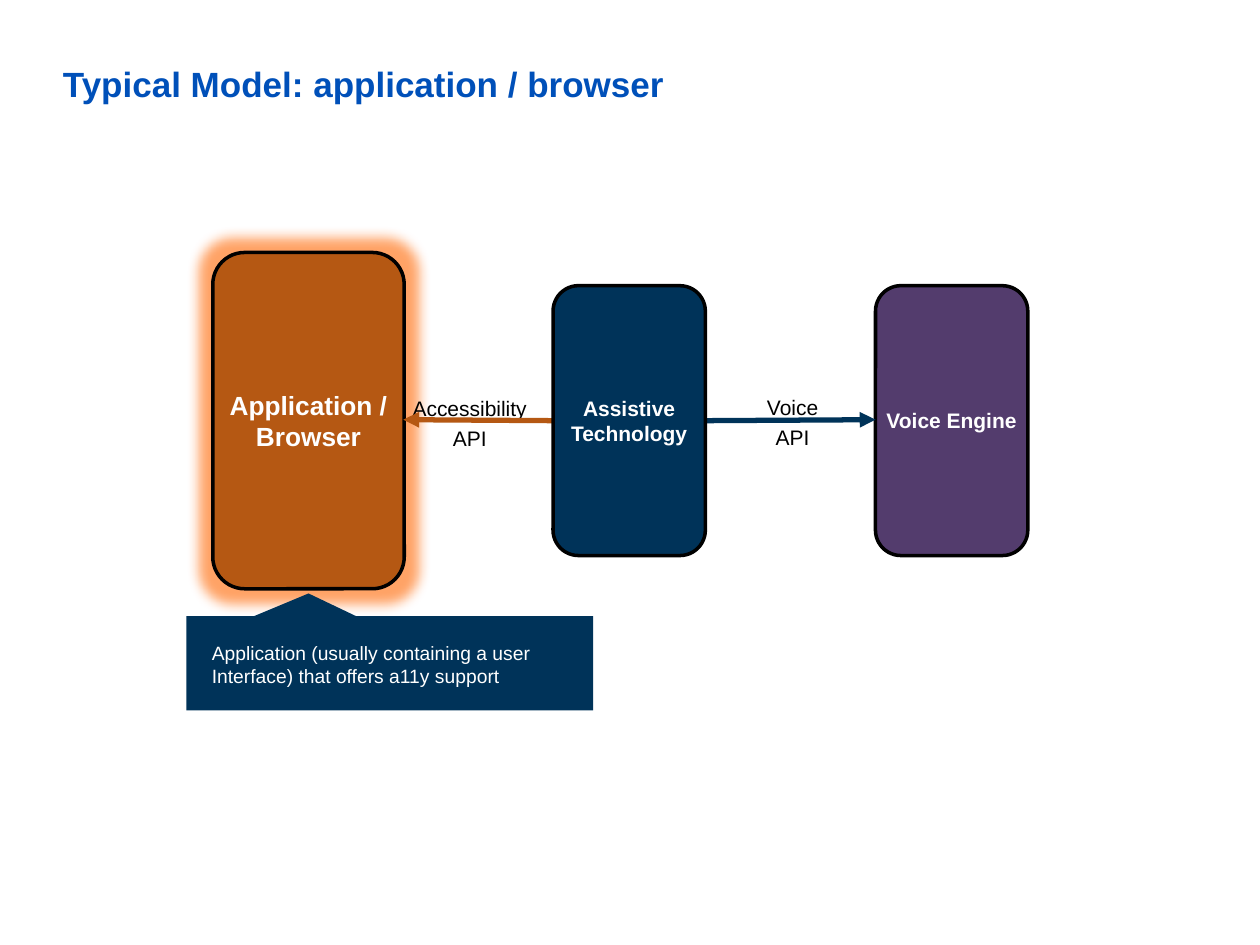
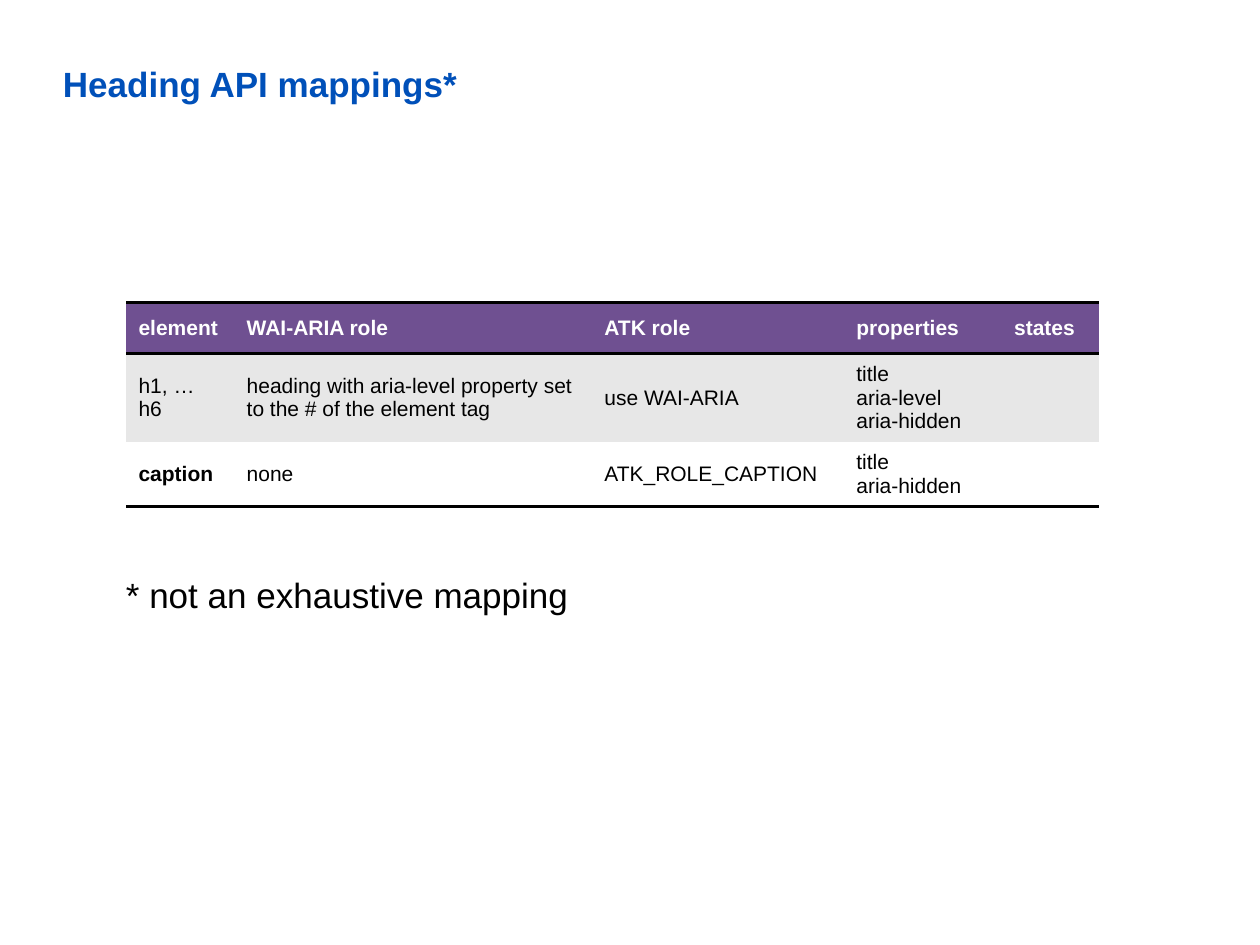
from dataclasses import dataclass

from lxml.etree import SubElement as Sub
from pptx import Presentation
from pptx.dml.color import RGBColor as Rgb
from pptx.enum.shapes import MSO_CONNECTOR as Link, MSO_SHAPE as Shape
from pptx.enum.text import MSO_ANCHOR as Anchor, PP_ALIGN as Align
from pptx.oxml.ns import qn
from pptx.util import Cm, Pt


@dataclass(frozen=True)
class Theme:
    font: str = "Arial"
    title: str = "0050B9"
    black: str = "000000"
    white: str = "FFFFFF"
    orange: str = "B55813"
    glow: str = "FF6600"
    navy: str = "003359"
    plum: str = "533C6D"
    head: str = "6F5091"
    grey: str = "E7E7E7"
    big: int = 20
    mid: int = 15
    base: int = 12
    small: int = 11
    edge: int = 2
    arrow: int = 3


THEME = Theme()


@dataclass(frozen=True)
class Rect:
    left: float
    top: float
    width: float
    height: float

    def sides(self) -> list:
        return [Cm(n) for n in (self.left, self.top, self.width, self.height)]


@dataclass(frozen=True)
class Style:
    size: int = THEME.base
    color: str = THEME.black
    bold: bool = False
    align: Align = Align.LEFT
    space: float = 1.0


@dataclass(frozen=True)
class Node:
    text: str
    left: float
    width: float
    height: float
    fill: str
    size: int = THEME.base

    def rect(self) -> Rect:
        return Rect(self.left, MID - self.height / 2, self.width, self.height)


@dataclass(frozen=True)
class Arrow:
    start: float
    end: float
    color: str
    lines: tuple
    rect: Rect


MID = 8.48
TITLE = Style(THEME.big, THEME.title, True)
LABEL = Style(align=Align.CENTER, space=1.2)
NOTE = Style(THEME.small, THEME.white)

APP = Node("Application / Browser", 4.29, 3.86, 6.78, THEME.orange, THEME.mid)
VOICE = Node("Voice Engine", 17.65, 3.07, 5.44, THEME.plum)
ASSIST = Node("Assistive Technology", 11.15, 3.07, 5.44, THEME.navy)
ARROWS = (
    Arrow(11.15, 8.13, THEME.orange, ("Accessibility API",), Rect(7.92, 7.75, 3.1, 1.42)),
    Arrow(14.25, 17.65, THEME.navy, ("Voice", "API"), Rect(14.43, 7.72, 3.1, 1.42)),
)

COLS = (2.18, 7.21, 5.08, 3.18, 1.96)
ROWS = (1.03, 1.76, 1.3)
FILLS = (THEME.head, THEME.grey, THEME.white)
CELLS = (
    ("element", "WAI-ARIA role", "ATK role", "properties", "states"),
    ("h1, … h6", "heading with aria-level property set to the # of the element tag",
     "use WAI-ARIA", "title\naria-level\naria-hidden", ""),
    ("caption", "none", "ATK_ROLE_CAPTION", "title\naria-hidden", ""),
)


def write(frame, lines, style: Style) -> None:
    for i, line in enumerate(lines):
        para = frame.paragraphs[0] if i == 0 else frame.add_paragraph()
        para.alignment = style.align
        para.line_spacing = style.space
        run = para.add_run()
        run.text = line
        font = run.font
        font.name, font.size, font.bold = THEME.font, Pt(style.size), style.bold
        font.color.rgb = Rgb.from_string(style.color)


def inset(frame, side: float, end: float) -> None:
    frame.margin_left = frame.margin_right = Cm(side)
    frame.margin_top = frame.margin_bottom = Cm(end)


def add_text(slide, rect: Rect, lines, style: Style):
    frame = slide.shapes.add_textbox(*rect.sides()).text_frame
    frame.word_wrap = True
    write(frame, lines, style)
    return frame


def add_shape(slide, kind, rect: Rect, fill: str):
    shape = slide.shapes.add_shape(kind, *rect.sides())
    shape.shadow.inherit = False
    shape.fill.solid()
    shape.fill.fore_color.rgb = Rgb.from_string(fill)
    shape.text_frame.word_wrap = True
    return shape


def add_node(slide, node: Node):
    shape = add_shape(slide, Shape.ROUNDED_RECTANGLE, node.rect(), node.fill)
    shape.line.color.rgb = Rgb.from_string(THEME.black)
    shape.line.width = Pt(THEME.edge)
    frame = shape.text_frame
    frame.vertical_anchor = Anchor.MIDDLE
    inset(frame, 0, 0.13)
    write(frame, [node.text], Style(node.size, THEME.white, True, Align.CENTER))
    return shape


def add_glow(shape) -> None:
    effects = shape._element.spPr.find(qn("a:effectLst"))
    glow = Sub(effects, qn("a:glow"), rad=str(Cm(0.5)))
    color = Sub(glow, qn("a:srgbClr"), val=THEME.glow)
    Sub(color, qn("a:alpha"), val="60000")


def add_arrow(slide, arrow: Arrow) -> None:
    add_text(slide, arrow.rect, arrow.lines, LABEL)
    link = slide.shapes.add_connector(
        Link.STRAIGHT, Cm(arrow.start), Cm(MID), Cm(arrow.end), Cm(MID - 0.02))
    link.line.color.rgb = Rgb.from_string(arrow.color)
    link.line.width = Pt(THEME.arrow)
    Sub(link.line._get_or_add_ln(), qn("a:tailEnd"), type="triangle")
    Sub(link._element.spPr, qn("a:effectLst"))


def add_edges(cell, shown: str) -> None:
    props = cell._tc.get_or_add_tcPr()
    for side in "LRTB":
        line = Sub(props, qn(f"a:ln{side}"), w=str(Pt(THEME.edge)))
        if side in shown:
            Sub(Sub(line, qn("a:solidFill")), qn("a:srgbClr"), val=THEME.black)
        else:
            Sub(line, qn("a:noFill"))


def add_grid(slide) -> None:
    rect = Rect(2.54, 6.1, sum(COLS), sum(ROWS))
    grid = slide.shapes.add_table(len(ROWS), len(COLS), *rect.sides()).table
    for col, width in zip(grid.columns, COLS):
        col.width = Cm(width)
    edges = ("TB", "T", "B")
    for i, (row, height) in enumerate(zip(grid.rows, ROWS)):
        row.height = Cm(height)
        for cell, text in zip(row.cells, CELLS[i]):
            add_edges(cell, edges[i])
            cell.fill.solid()
            cell.fill.fore_color.rgb = Rgb.from_string(FILLS[i])
            cell.vertical_anchor = Anchor.MIDDLE
            if text:
                color = THEME.black if i else THEME.white
                bold = i == 0 or text == "caption"
                write(cell.text_frame, text.split("\n"), Style(color=color, bold=bold))


def add_slide(deck, title: str):
    slide = deck.slides.add_slide(deck.slide_layouts[6])
    frame = add_text(slide, Rect(1.27, 1.27, 22.86, 2.34), [title], TITLE)
    inset(frame, 0, 0)
    return slide


def draw_model(deck) -> None:
    slide = add_slide(deck, "Typical Model: application / browser")
    add_glow(add_node(slide, APP))
    add_node(slide, VOICE)
    for arrow in ARROWS:
        add_arrow(slide, arrow)
    add_node(slide, ASSIST)
    note = add_shape(slide, Shape.RECTANGULAR_CALLOUT, Rect(3.76, 12.42, 8.2, 1.9), THEME.navy)
    note.line.fill.background()
    note.adjustments[0], note.adjustments[1] = -0.2, -0.74
    note.text_frame.vertical_anchor = Anchor.TOP
    inset(note.text_frame, 0.51, 0.51)
    write(note.text_frame,
          ["Application (usually containing a user Interface) that offers a11y support"], NOTE)


def draw_map(deck) -> None:
    slide = add_slide(deck, "Heading API mappings*")
    add_text(slide, Rect(2.29, 11.43, 12.3, 1.12),
             ["* not an exhaustive mapping"], Style(THEME.big))
    add_grid(slide)


def main() -> None:
    deck = Presentation()
    deck.slide_width, deck.slide_height = Cm(25.4), Cm(19.05)
    draw_model(deck)
    draw_map(deck)
    deck.save("out.pptx")


if __name__ == "__main__":
    main()
